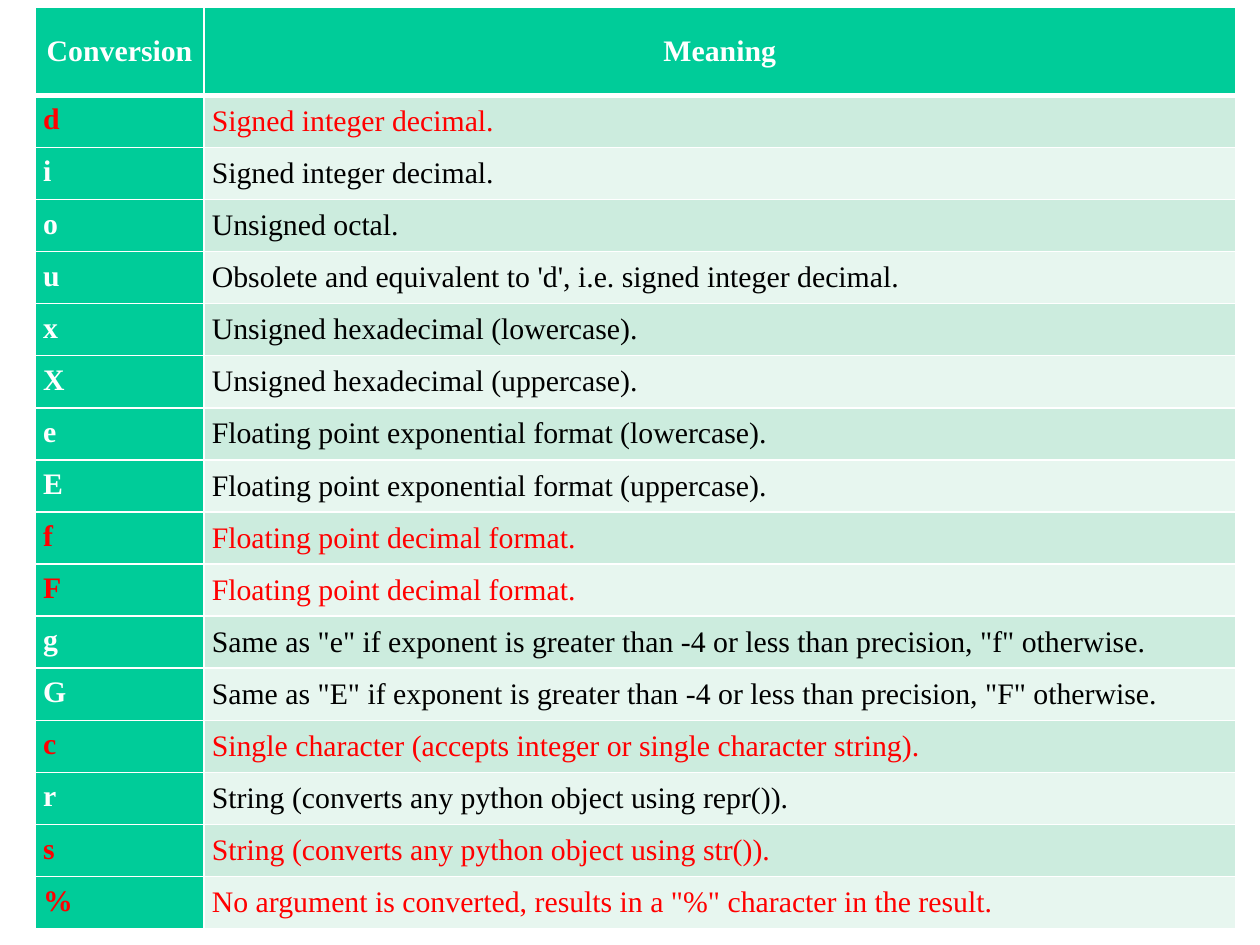
import lxml.etree
import pptx
import pptx.dml.color
import pptx.enum.text
import pptx.oxml.ns
import pptx.util

Cm = pptx.util.Cm
Pt = pptx.util.Pt
RGBColor = pptx.dml.color.RGBColor
ANCHOR = pptx.enum.text.MSO_ANCHOR
ALIGN = pptx.enum.text.PP_ALIGN

WHITE = RGBColor(0xFF, 0xFF, 0xFF)
BLACK = RGBColor(0x00, 0x00, 0x00)
RED = RGBColor(0xFF, 0x00, 0x00)
GREEN = RGBColor(0x00, 0xCC, 0x99)
BANDS = (RGBColor(0xCC, 0xEC, 0xDE), RGBColor(0xE7, 0xF6, 0xEF))

HEADINGS = ("Conversion", "Meaning")
CONVERSIONS = (
    ("d", "Signed integer decimal."),
    ("i", "Signed integer decimal."),
    ("o", "Unsigned octal."),
    ("u", "Obsolete and equivalent to 'd', i.e. signed integer decimal."),
    ("x", "Unsigned hexadecimal (lowercase)."),
    ("X", "Unsigned hexadecimal (uppercase)."),
    ("e", "Floating point exponential format (lowercase)."),
    ("E", "Floating point exponential format (uppercase)."),
    ("f", "Floating point decimal format."),
    ("F", "Floating point decimal format."),
    ("g", 'Same as "e" if exponent is greater than -4 or less than precision, "f" otherwise.'),
    ("G", 'Same as "E" if exponent is greater than -4 or less than precision, "F" otherwise.'),
    ("c", "Single character (accepts integer or single character string)."),
    ("r", "String (converts any python object using repr())."),
    ("s", "String (converts any python object using str())."),
    ("%", 'No argument is converted, results in a "%" character in the result.'),
)
HIGHLIGHTED = "dfFcs%"


class SlideBuilder:
    font = "Times New Roman"
    size = Pt(17)
    inset = Cm(0.16)
    rule = Pt(1)
    header_rule = Pt(3)

    def __init__(self, slide):
        self.slide = slide

    def table(self, left, top, widths, heights):
        grid = self.slide.shapes.add_table(
            len(heights), len(widths), left, top, sum(widths), sum(heights)).table
        for column, width in zip(grid.columns, widths):
            column.width = width
        for row, height in zip(grid.rows, heights):
            row.height = height
        return grid

    def cell(self, cell, text, fill, color, bold=False,
             anchor=ANCHOR.MIDDLE, align=ALIGN.LEFT, **rules):
        cell.margin_left = cell.margin_right = self.inset
        cell.margin_top = cell.margin_bottom = self.inset
        cell.vertical_anchor = anchor
        cell.fill.solid()
        cell.fill.fore_color.rgb = fill
        paragraph = cell.text_frame.paragraphs[0]
        paragraph.alignment = align
        run = paragraph.add_run()
        run.text = text
        run.font.name = self.font
        run.font.size = self.size
        run.font.bold = bold
        run.font.color.rgb = color
        self.borders(cell, **rules)

    def borders(self, cell, top=rule, bottom=rule):
        qn = pptx.oxml.ns.qn
        properties = cell._tc.get_or_add_tcPr()
        sides = (("a:lnL", self.rule), ("a:lnR", self.rule),
                 ("a:lnT", top), ("a:lnB", bottom))
        for position, (side, width) in enumerate(sides):
            line = lxml.etree.Element(qn(side), w=str(width))
            solid = lxml.etree.SubElement(line, qn("a:solidFill"))
            lxml.etree.SubElement(solid, qn("a:srgbClr"), val=str(WHITE))
            properties.insert(position, line)


def main():
    deck = pptx.Presentation()
    deck.slide_width, deck.slide_height = Cm(25.4), Cm(19.05)
    builder = SlideBuilder(deck.slides.add_slide(deck.slide_layouts[6]))

    # Table grid: a tall header, then equal rows
    conversions = builder.table(
        Cm(0.71), Cm(0.14), (Cm(3.4), Cm(20.8)),
        [Cm(1.78)] + [Cm(1.05)] * len(CONVERSIONS))

    # Header row
    for column, heading in enumerate(HEADINGS):
        builder.cell(conversions.cell(0, column), heading, GREEN, WHITE, bold=True,
                     align=ALIGN.CENTER, bottom=builder.header_rule)

    # Conversion rows, banded, with the common ones in red
    for row, (code, meaning) in enumerate(CONVERSIONS, start=1):
        top = builder.header_rule if row == 1 else builder.rule
        highlighted = code in HIGHLIGHTED
        builder.cell(conversions.cell(row, 0), code, GREEN,
                     RED if highlighted else WHITE, bold=True,
                     anchor=ANCHOR.TOP, top=top)
        builder.cell(conversions.cell(row, 1), meaning, BANDS[(row - 1) % 2],
                     RED if highlighted else BLACK, top=top)

    deck.save("out.pptx")


if __name__ == "__main__":
    main()
